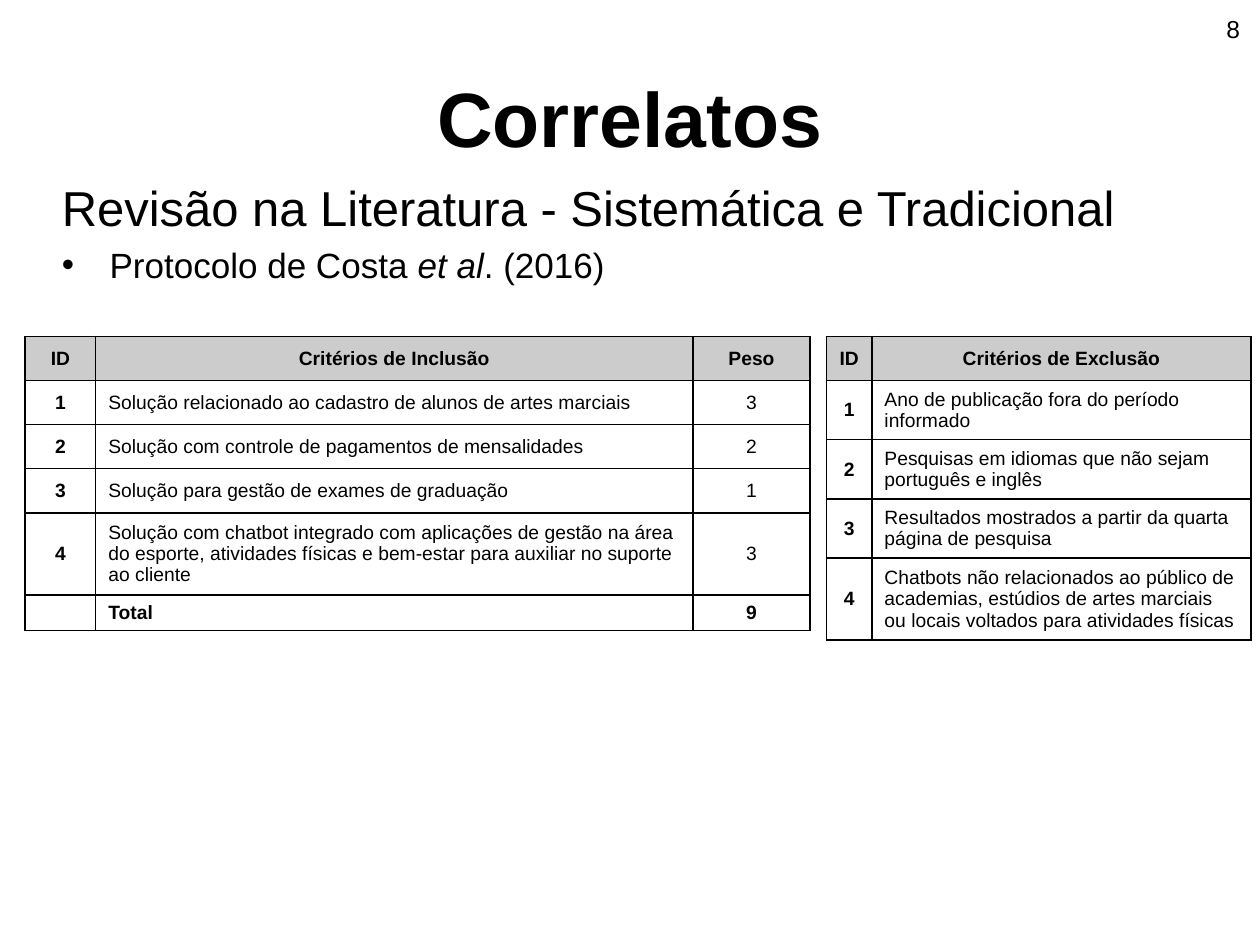
from lxml.etree import SubElement
from pptx import Presentation
from pptx.dml.color import RGBColor
from pptx.enum.text import MSO_ANCHOR as Anchor, MSO_AUTO_SIZE as AutoSize, PP_ALIGN as Align
from pptx.oxml.ns import qn
from pptx.util import Inches, Pt

BLACK = RGBColor(0x00, 0x00, 0x00)
HEADER_GRAY = RGBColor(0xCC, 0xCC, 0xCC)
FONT = "Arial"
TABLE_TOP = 2.67

INCLUSION = [
    ("ID", "Critérios de Inclusão", "Peso"),
    ("1", "Solução relacionado ao cadastro de alunos de artes marciais", "3"),
    ("2", "Solução com controle de pagamentos de mensalidades", "2"),
    ("3", "Solução para gestão de exames de graduação", "1"),
    ("4", "Solução com chatbot integrado com aplicações de gestão na área do esporte, "
          "atividades físicas e bem-estar para auxiliar no suporte ao cliente", "3"),
    ("", "Total", "9"),
]
EXCLUSION = [
    ("ID", "Critérios de Exclusão"),
    ("1", "Ano de publicação fora do período informado"),
    ("2", "Pesquisas em idiomas que não sejam português e inglês"),
    ("3", "Resultados mostrados a partir da quarta página de pesquisa"),
    ("4", "Chatbots não relacionados ao público de academias, estúdios de artes marciais "
          "ou locais voltados para atividades físicas"),
]


def place(shape, box):
    """Move a shape to a box of left, top, width and height in inches."""
    shape.left, shape.top, shape.width, shape.height = map(Inches, box)


def style_runs(paragraph, size, bold=False):
    """Format every run of a paragraph in the slide's font."""
    for run in paragraph.runs:
        run.font.name, run.font.size, run.font.bold = FONT, Pt(size), bold
        run.font.color.rgb = BLACK


def add_title(slide, box):
    """Fill the title placeholder."""
    title = slide.shapes.title
    place(title, box)
    frame = title.text_frame
    frame.text = "Correlatos"
    frame.vertical_anchor = Anchor.MIDDLE
    frame.paragraphs[0].alignment = Align.CENTER
    style_runs(frame.paragraphs[0], 44, bold=True)


def set_bullet(paragraph, indent, char=None):
    """Give a paragraph a hanging bullet, or none when char is missing."""
    properties = paragraph._p.get_or_add_pPr()
    properties.set("marL", str(Inches(indent)))
    properties.set("indent", str(-Inches(indent)))
    if char:
        SubElement(properties, qn("a:buChar"), char=char)
    else:
        SubElement(properties, qn("a:buNone"))


def add_review(slide, box):
    """Fill the body placeholder with the review heading and its protocol."""
    body = slide.placeholders[1]
    place(body, box)
    frame = body.text_frame
    frame.auto_size = AutoSize.NONE
    frame.text = "Revisão na Literatura - Sistemática e Tradicional"
    heading, protocol = frame.paragraphs[0], frame.add_paragraph()
    for part in ("Protocolo de Costa ", "et al", ". (2016)"):
        run = protocol.add_run()
        run.text = part
        run.font.italic = part == "et al"
    set_bullet(heading, 0)
    set_bullet(protocol, 0.38, "•")
    style_runs(heading, 28)
    style_runs(protocol, 20)


def add_page_number(slide, box):
    """Write the page number in the top right corner."""
    frame = slide.shapes.add_textbox(*map(Inches, box)).text_frame
    frame.word_wrap = True
    frame.text = "8"
    frame.paragraphs[0].alignment = Align.RIGHT
    style_runs(frame.paragraphs[0], 14)


def add_borders(cell):
    """Draw a black one-point line on all four sides of a cell."""
    properties = cell._tc.get_or_add_tcPr()
    for index, side in enumerate(("lnL", "lnR", "lnT", "lnB")):
        line = SubElement(properties, qn(f"a:{side}"), w=str(Pt(1)))
        SubElement(SubElement(line, qn("a:solidFill")), qn("a:srgbClr"), val=str(BLACK))
        properties.insert(index, line)


def fill_cell(cell, text, bold, centered, header):
    """Write and format one table cell."""
    cell.text = text
    cell.vertical_anchor = Anchor.MIDDLE
    paragraph = cell.text_frame.paragraphs[0]
    paragraph.alignment = Align.CENTER if centered else Align.LEFT
    style_runs(paragraph, 11, bold)
    if not text:
        SubElement(paragraph._p, qn("a:endParaRPr"), sz="1100")
    if header:
        cell.fill.solid()
        cell.fill.fore_color.rgb = HEADER_GRAY
    else:
        cell.fill.background()
    add_borders(cell)


def add_criteria(slide, left, widths, heights, rows):
    """Build a table of criteria from its grid and its rows of text."""
    box = left, TABLE_TOP, sum(widths), sum(heights)
    table = slide.shapes.add_table(len(rows), len(widths), *map(Inches, box)).table
    table.horz_banding = table.first_row = False
    for column, width in zip(table.columns, widths):
        column.width = Inches(width)
    for r, (texts, height) in enumerate(zip(rows, heights)):
        table.rows[r].height = Inches(height)
        for c, text in enumerate(texts):
            header = r == 0
            bold = header or c == 0 or "Total" in texts
            fill_cell(table.cell(r, c), text, bold, header or c != 1, header)


def main():
    """Build and save the slide."""
    deck = Presentation()
    deck.slide_width, deck.slide_height = Inches(10), Inches(7.5)
    slide = deck.slides.add_slide(deck.slide_layouts[1])
    add_title(slide, (0.5, 0.3, 9, 1.25))
    add_review(slide, (0.39, 1.36, 9.23, 1.57))
    add_page_number(slide, (9.02, 0.06, 0.92, 0.34))
    add_criteria(slide, 6.56, (0.36, 3.01), (0.35, 0.47, 0.47, 0.47, 0.65), EXCLUSION)
    add_criteria(slide, 0.2, (0.56, 4.74, 0.93), (0.35, 0.35, 0.35, 0.35, 0.65, 0.28), INCLUSION)
    deck.save("out.pptx")


if __name__ == "__main__":
    main()
